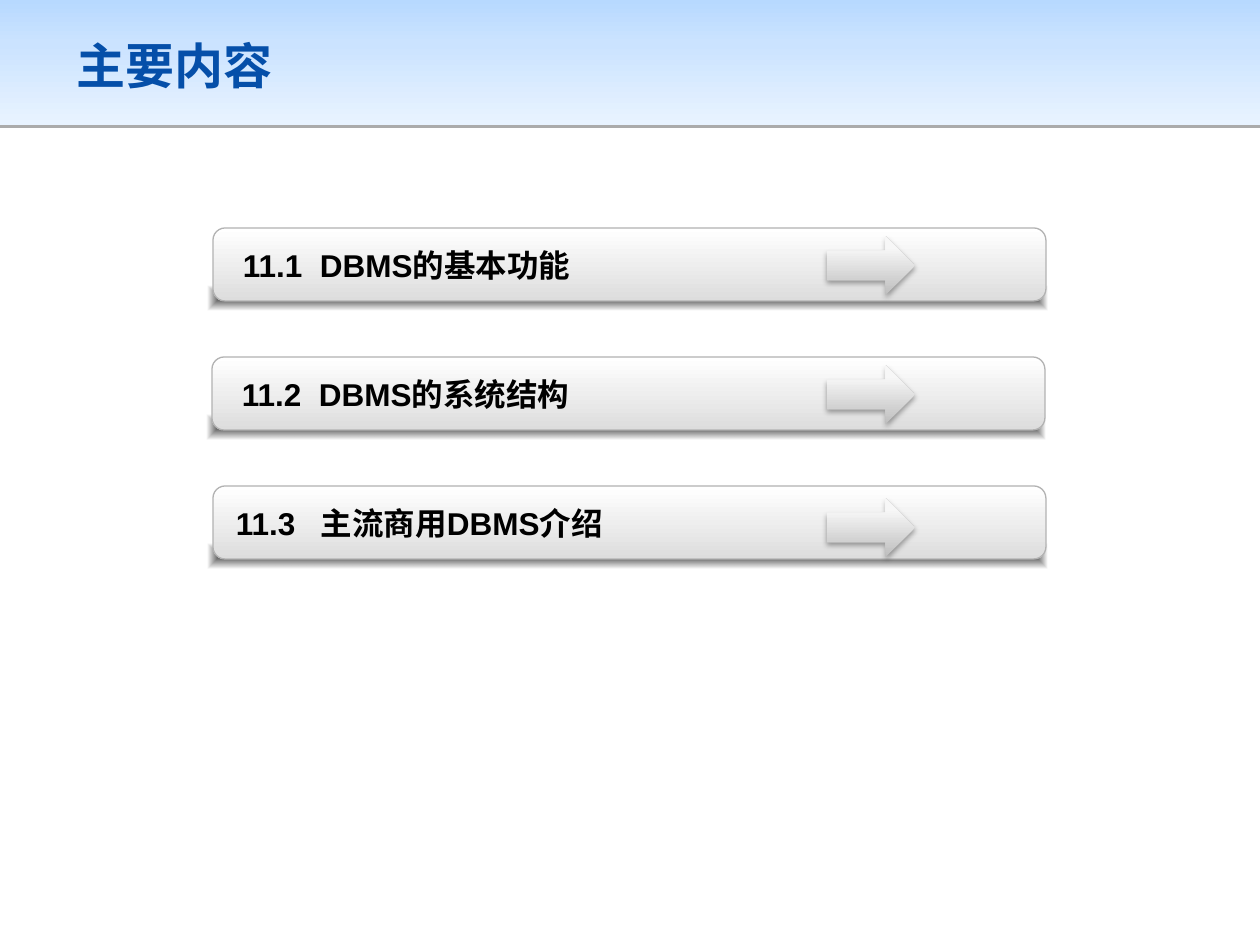
from lxml.etree import SubElement
from pptx import Presentation
from pptx.dml.color import RGBColor
from pptx.enum.shapes import MSO_SHAPE
from pptx.enum.text import MSO_ANCHOR, PP_ALIGN
from pptx.oxml.ns import qn
from pptx.util import Pt

TITLE = "主要内容"
ROWS = [
    {"number": "11.1", "topic": "DBMS的基本功能", "left": 213, "top": 228, "inset": 20, "tab": 77, "arrow": 236},
    {"number": "11.2", "topic": "DBMS的系统结构", "left": 212, "top": 357, "inset": 20, "tab": 77, "arrow": 365},
    {"number": "11.3", "topic": "主流商用DBMS介绍", "left": 213, "top": 486, "inset": 13, "tab": 85, "arrow": 498},
]
COLORS = {"title": "054FA9", "text": "000000", "outline": "B2B2B2", "shadow": "000000"}
HEADER_STOPS = [(0, "B7D9FF", 100), (35, "CBE3FF", 100), (100, "E8F3FF", 100)]
BAR_STOPS = [(0, "FFFFFF", 100), (100, "DDDDDD", 100)]
GLOW_STOPS = [(0, "000000", 70), (100, "000000", 0)]
ARROW_STOPS = [(0, "BEBEBE", 100), (80, "F7F7F7", 100), (100, "F8F8F8", 100)]
FONT = "Arial"
PX_PER_INCH = 126


def px(length):
    return round(length * 914400 / PX_PER_INCH)


def add_color(parent, color, opacity):
    node = SubElement(parent, qn("a:srgbClr"), val=color)
    if opacity < 100:
        SubElement(node, qn("a:alpha"), val=str(opacity * 1000))


def add_block(page, kind, box, stops, angle=None, outline=None):
    shape = page.shapes.add_shape(kind, *map(px, box))
    shape.shadow.inherit = False
    if outline:
        shape.line.color.rgb = RGBColor.from_string(outline)
        shape.line.width = Pt(0.75)
    else:
        shape.line.fill.background()
    properties = shape._element.spPr
    gradient = SubElement(properties, qn("a:gradFill"), rotWithShape="1")
    stop_list = SubElement(gradient, qn("a:gsLst"))
    for position, color, opacity in stops:
        stop = SubElement(stop_list, qn("a:gs"), pos=str(position * 1000))
        add_color(stop, color, opacity)
    if angle is None:
        route = SubElement(gradient, qn("a:path"), {"path": "shape"})
        SubElement(route, qn("a:fillToRect"), {side: "50000" for side in "ltrb"})
    else:
        SubElement(gradient, qn("a:lin"), ang=str(angle * 60000), scaled="1")
    properties.insert(2, gradient)
    return shape


def add_shadow(shape, opacity, blur, distance):
    effects = shape._element.spPr.find(qn("a:effectLst"))
    shadow = SubElement(effects, qn("a:outerShdw"), blurRad=str(Pt(blur)),
                        dist=str(Pt(distance)), dir="5400000", algn="t", rotWithShape="0")
    add_color(shadow, COLORS["shadow"], opacity)


def format_text(frame, size, color):
    frame.vertical_anchor = MSO_ANCHOR.MIDDLE
    para = frame.paragraphs[0]
    para.alignment = PP_ALIGN.LEFT
    for span in para.runs:
        span.font.name = FONT
        span.font.size = Pt(size)
        span.font.bold = True
        span.font.color.rgb = RGBColor.from_string(color)
    return para


def add_label(page, row):
    box = page.shapes.add_textbox(px(row["left"] + 10), px(row["top"]), px(745), px(73))
    frame = box.text_frame
    frame.word_wrap = True
    frame.margin_left = px(row["inset"])
    frame.text = f"{row['number']}\t{row['topic']}"
    para = format_text(frame, 18, COLORS["text"])
    tabs = SubElement(para._p.get_or_add_pPr(), qn("a:tabLst"))
    SubElement(tabs, qn("a:tab"), pos=str(px(row["tab"])), algn="l")


def main():
    deck = Presentation()
    deck.slide_width, deck.slide_height = px(1260), px(945)
    page = deck.slides.add_slide(deck.slide_layouts[5])

    header = add_block(page, MSO_SHAPE.RECTANGLE, (0, 0, 1260, 125), HEADER_STOPS, 90)
    add_shadow(header, 33, 0, 1.6)
    page.shapes._spTree.insert(2, header._element)

    title = page.shapes.title
    title.left, title.top, title.width, title.height = map(px, (64, 20, 1132, 90))
    title.text_frame.text = TITLE
    format_text(title.text_frame, 28, COLORS["title"])

    for row in ROWS:
        left, top = row["left"], row["top"]
        add_block(page, MSO_SHAPE.RECTANGLE, (left - 5, top + 58, 839, 25), GLOW_STOPS)
        add_block(page, MSO_SHAPE.ROUNDED_RECTANGLE, (left, top, 833, 73), BAR_STOPS, 90, COLORS["outline"])
        add_label(page, row)
        arrow = add_block(page, MSO_SHAPE.RIGHT_ARROW, (827, row["arrow"], 88, 59), ARROW_STOPS, 270)
        add_shadow(arrow, 35, 3.1, 1.8)

    deck.save("out.pptx")


if __name__ == "__main__":
    main()
